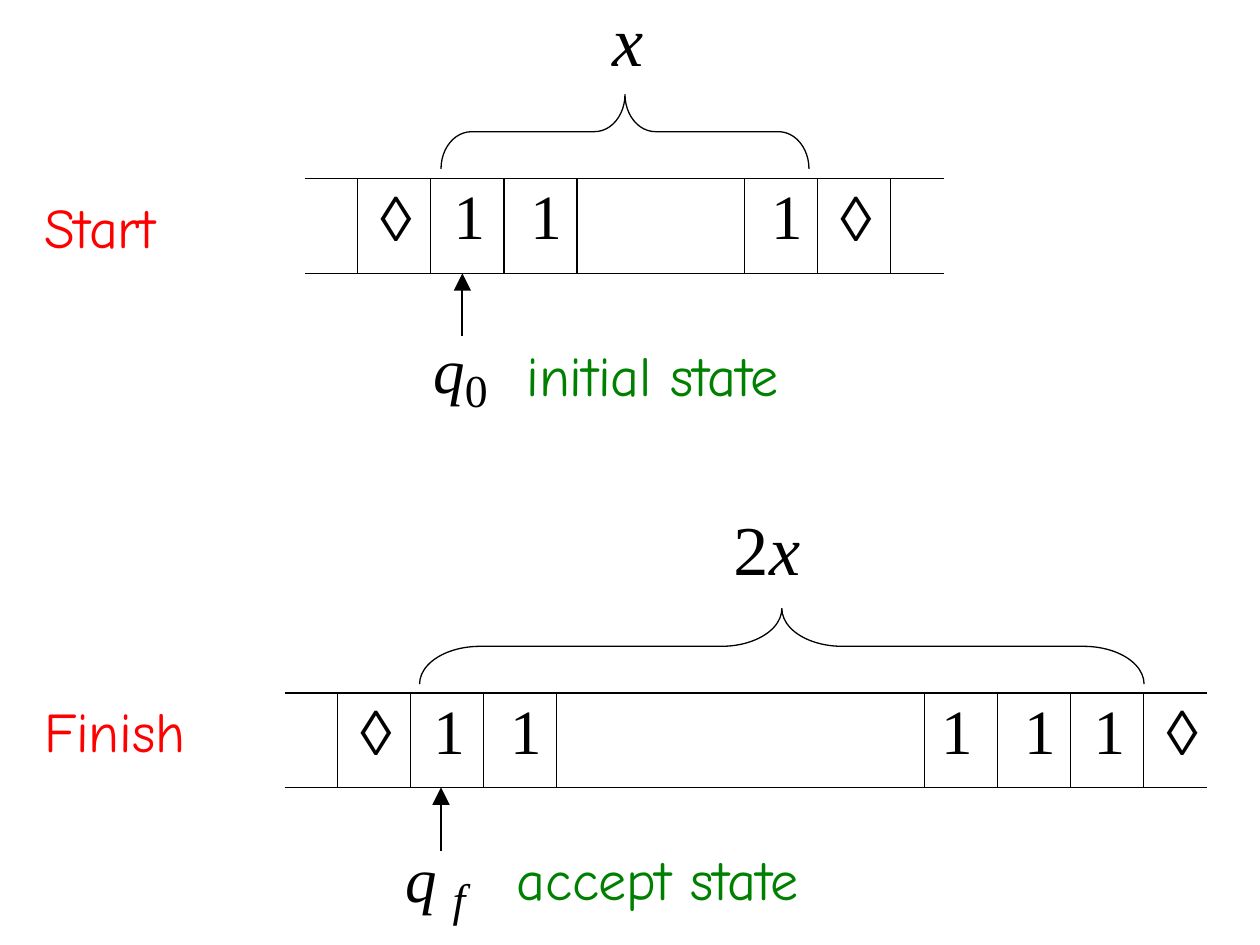
"""Build a slide showing the tape of a Turing machine that doubles x, at start and finish."""
from lxml.etree import SubElement
from pptx import Presentation
from pptx.dml.color import RGBColor
from pptx.enum.shapes import MSO_CONNECTOR, MSO_SHAPE
from pptx.oxml.ns import qn
from pptx.util import Inches, Pt

COLORS = {"ink": "000000", "stage": "FF0000", "state": "008000"}
MATH, SYMBOL, LABEL = "Times New Roman", "Arial", "Comic Neue"
ROW_HEIGHT = 0.75
LINE_WIDTH = 0.75

# Tape cells: width, text, left indent. Runs: text, size, italic, spacing, baseline.
STAGES = [
    {
        "tape": (2.42, 1.42),
        "cells": [(0.42, "", 0), (0.58, "◊", 0.18), (0.58, "1", 0.18), (0.58, "1", 0.21),
                  (1.33, "", 0), (0.58, "1", 0.21), (0.58, "◊", 0.18), (0.42, "", 0)],
        "brace": (3.5, 0.75, 2.92, 0.59, 0.41),
        "arrow_x": 3.67,
        "length": ((4.85, -0.04, 0.3, 0.7), [("x", 40, True, -0.5, 0)]),
        "state": ((3.4, 2.49, 0.6, 0.63), [("q", 36, True, -0.2, 0), ("0", 45, False, -0.4, -17)]),
        "name": ((0.34, 1.51, 1.21, 0.57), "Start"),
        "note": ((4.17, 2.68, 2.44, 0.57), "initial state"),
    },
    {
        "tape": (2.26, 5.5),
        "cells": [(0.42, "", 0), (0.58, "◊", 0.18), (0.58, "1", 0.18), (0.58, "1", 0.21),
                  (2.92, "", 0), (0.58, "1", 0.13), (0.58, "1", 0.21), (0.58, "1", 0.18),
                  (0.5, "◊", 0.18)],
        "brace": (3.33, 4.83, 5.75, 0.6, 0.8),
        "arrow_x": 3.5,
        "length": ((5.81, 4, 0.65, 0.7), [("2", 40, False, 0.9, 0), ("x", 40, True, 0.9, 0)]),
        "state": ((3.18, 6.53, 0.6, 0.63), [("q ", 36, True, -0.2, 0), ("f", 45, True, -0.8, -17)]),
        "name": ((0.34, 5.51, 1.27, 0.57), "Finish"),
        "note": ((4.09, 6.68, 2.65, 0.57), "accept state"),
    },
]


def rgb(name):
    return RGBColor.from_string(COLORS[name])


def add_run(paragraph, text, font, size, color="ink", italic=False, spacing=0, baseline=0):
    run = paragraph.add_run()
    run.text = text
    run.font.name, run.font.size, run.font.italic = font, Pt(size), italic
    run.font.color.rgb = rgb(color)
    properties = run.font._element
    properties.set("spc", str(round(spacing * 100)))
    if baseline:
        properties.set("baseline", str(baseline * 1000))


def add_text(slide, box, runs, font=MATH, color="ink", top_margin=0.01):
    frame = slide.shapes.add_textbox(*map(Inches, box)).text_frame
    frame.word_wrap = True
    frame.margin_left = Inches(0.04 if runs[0][0].startswith("q") else 0.01)
    frame.margin_right = frame.margin_bottom = 0
    frame.margin_top = Inches(top_margin)
    paragraph = frame.paragraphs[0]
    paragraph.space_before = Pt(1)
    for text, size, italic, spacing, baseline in runs:
        add_run(paragraph, text, font, size, color, italic, spacing, baseline)


def set_borders(cell, hidden):
    properties = cell._tc.get_or_add_tcPr()
    for index, side in enumerate(("lnL", "lnR", "lnT", "lnB")):
        border = properties.makeelement(qn(f"a:{side}"), {"w": str(Pt(LINE_WIDTH))})
        if side in hidden:
            SubElement(border, qn("a:noFill"))
        else:
            fill = SubElement(border, qn("a:solidFill"))
            SubElement(fill, qn("a:srgbClr"), val=COLORS["ink"])
        properties.insert(index, border)


def add_tape(slide, position, cells):
    left, top = position
    width = sum(cell_width for cell_width, _, _ in cells)
    table = slide.shapes.add_table(1, len(cells), Inches(left), Inches(top),
                                   Inches(width), Inches(ROW_HEIGHT)).table
    table.first_row = table.horz_banding = False
    for index, (cell_width, text, indent) in enumerate(cells):
        table.columns[index].width = Inches(cell_width)
        cell = table.cell(0, index)
        cell.fill.background()
        cell.margin_left, cell.margin_top = Inches(indent), Inches(0.04)
        cell.margin_right = cell.margin_bottom = 0
        if text:
            paragraph = cell.text_frame.paragraphs[0]
            paragraph.space_before = Pt(3)
            add_run(paragraph, text, SYMBOL if text == "◊" else MATH, 36, spacing=-0.5)
        set_borders(cell, {0: ["lnL"], len(cells) - 1: ["lnR"]}.get(index, []))


def add_brace(slide, left, top, width, height, curve):
    """Turn a left brace by 90 degrees so that its point faces up."""
    shift = (width - height) / 2
    brace = slide.shapes.add_shape(MSO_SHAPE.LEFT_BRACE, Inches(left + shift),
                                   Inches(top - shift), Inches(height), Inches(width))
    brace.rotation = 90
    brace.adjustments[0] = curve
    brace.shadow.inherit = False
    brace.fill.background()
    brace.line.color.rgb = rgb("ink")
    brace.line.width = Pt(LINE_WIDTH)


def add_arrow(slide, x, tape_bottom):
    arrow = slide.shapes.add_connector(MSO_CONNECTOR.STRAIGHT, Inches(x), Inches(tape_bottom + 0.5),
                                       Inches(x), Inches(tape_bottom))
    arrow.line.color.rgb = rgb("ink")
    arrow.line.width = Pt(1.25)
    SubElement(arrow.line._get_or_add_ln(), qn("a:tailEnd"), type="triangle", w="lg", len="lg")
    SubElement(arrow._element.spPr, qn("a:effectLst"))


def main():
    presentation = Presentation()
    presentation.slide_width, presentation.slide_height = Inches(10), Inches(7.5)
    slide = presentation.slides.add_slide(presentation.slide_layouts[6])
    for stage in STAGES:
        add_arrow(slide, stage["arrow_x"], stage["tape"][1] + ROW_HEIGHT)
        add_tape(slide, stage["tape"], stage["cells"])
        add_brace(slide, *stage["brace"])
        for part in ("length", "state"):
            add_text(slide, *stage[part])
        for part, color in (("name", "stage"), ("note", "state")):
            box, text = stage[part]
            add_text(slide, box, [(text, 32, False, -0.1, 0)], LABEL, color, 0.02)
    presentation.save("out.pptx")


if __name__ == "__main__":
    main()
